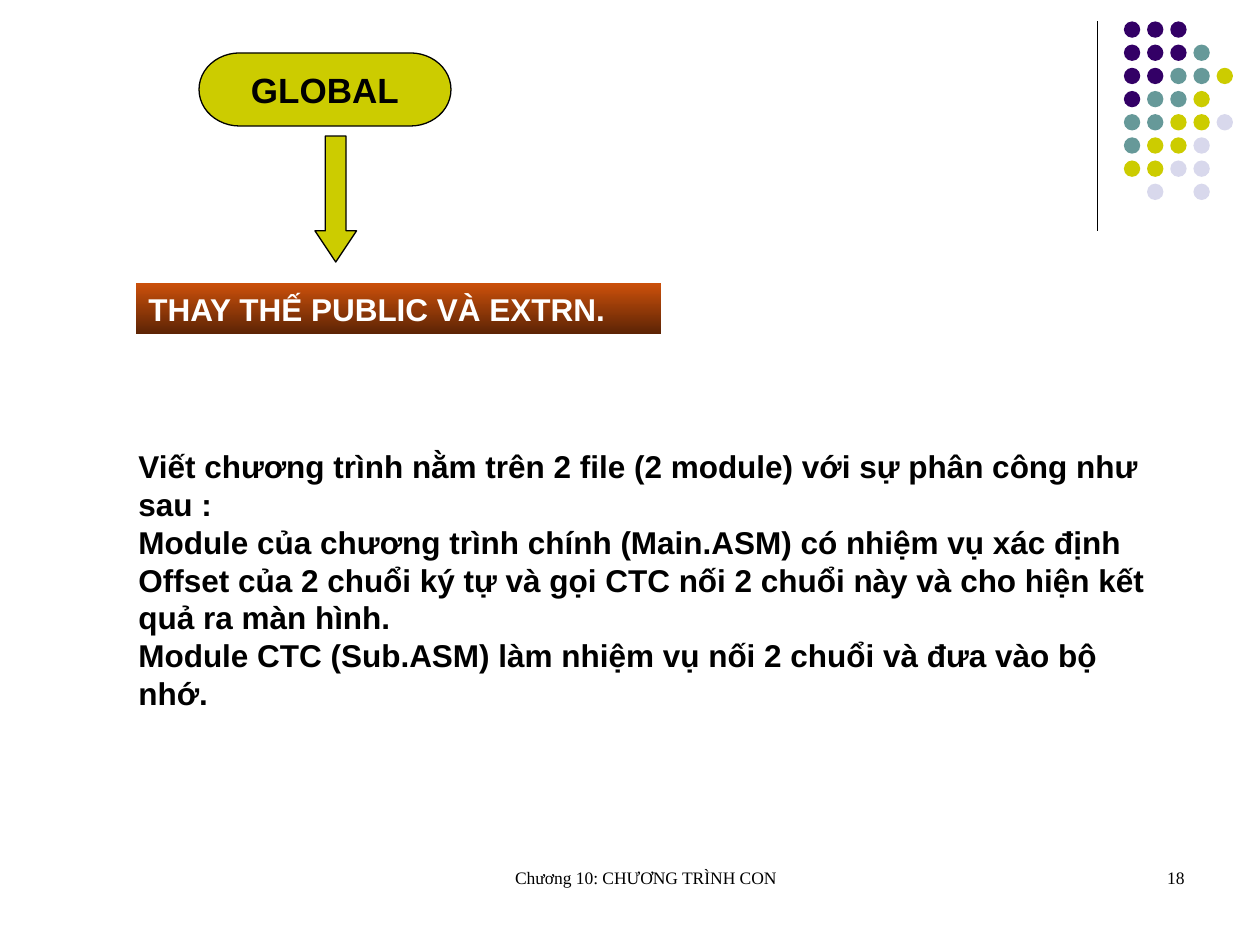
"""Build the slide that introduces the GLOBAL directive and its two-module exercise."""
from lxml.etree import SubElement
from pptx import Presentation
from pptx.dml.color import RGBColor
from pptx.enum.shapes import MSO_CONNECTOR, MSO_SHAPE
from pptx.enum.text import MSO_ANCHOR, PP_ALIGN
from pptx.oxml.ns import qn
from pptx.util import Inches, Pt

BLACK, WHITE, OLIVE = "000000", "FFFFFF", "CCCC00"
BANNER_COLORS = ("CB500B", "5D2405")
DOT_COLORS = {"P": "330066", "T": "669999", "O": OLIVE, "L": "D8D8EC"}
DOT_ROWS = ("PPP", "PPPT", "PPTTO", "PTTO", "TTOOL", "TOOL", "OOLL", " L L")
DOT_LEFT, DOT_TOP, DOT_STEP, DOT_SIZE = 8.92, 0.17, 0.184, 0.13

DIRECTIVE = "GLOBAL"
BANNER = "THAY THẾ PUBLIC VÀ EXTRN."
EXERCISE = [
    "Viết chương trình nằm trên 2 file (2 module) với sự phân công như sau :",
    "Module của chương trình chính (Main.ASM) có nhiệm vụ xác định Offset của 2 chuổi ký tự "
    "và gọi CTC nối 2 chuổi này và cho hiện kết quả ra màn hình.",
    "Module CTC (Sub.ASM) làm nhiệm vụ nối 2 chuổi và đưa vào bộ nhớ.",
]
FOOTERS = [
    ("Chương 10: CHƯƠNG TRÌNH CON", (3.42, 6.83, 3.17, 0.5), PP_ALIGN.CENTER),
    ("18", (7.17, 6.83, 2.33, 0.5), PP_ALIGN.RIGHT),
]


def color(value):
    return RGBColor.from_string(value)


def add_shape(slide, kind, box, fill=None, outlined=False):
    shape = slide.shapes.add_shape(kind, *map(Inches, box))
    shape.shadow.inherit = False
    if fill:
        shape.fill.solid()
        shape.fill.fore_color.rgb = color(fill)
    if outlined:
        shape.line.color.rgb = color(BLACK)
        shape.line.width = Pt(0.75)
    else:
        shape.line.fill.background()
    return shape


def write(shape, lines, size, ink=BLACK, font="Arial", bold=True,
          align=PP_ALIGN.LEFT, anchor=MSO_ANCHOR.TOP, wrap=True, margin=0):
    frame = shape.text_frame
    frame.word_wrap = wrap
    frame.vertical_anchor = anchor
    for index, line in enumerate(lines):
        paragraph = frame.add_paragraph() if index else frame.paragraphs[0]
        paragraph.alignment = align
        if margin:
            properties = paragraph._p.get_or_add_pPr()
            properties.set("marL", str(Inches(margin)))
            properties.set("indent", "0")
        run = paragraph.add_run()
        run.text = line
        run.font.name = font
        run.font.size = Pt(size)
        run.font.bold = bold
        run.font.color.rgb = color(ink)


def add_decoration(slide):
    rule = slide.shapes.add_connector(
        MSO_CONNECTOR.STRAIGHT, *map(Inches, (8.71, 0.17, 8.71, 1.83)))
    rule.line.color.rgb = color(BLACK)
    rule.line.width = Pt(0.75)
    SubElement(rule._element.spPr, qn("a:effectLst"))
    for row, dots in enumerate(DOT_ROWS):
        for column, dot in enumerate(dots):
            if dot in DOT_COLORS:
                box = (DOT_LEFT + column * DOT_STEP, DOT_TOP + row * DOT_STEP, DOT_SIZE, DOT_SIZE)
                add_shape(slide, MSO_SHAPE.OVAL, box, DOT_COLORS[dot])


def add_diagram(slide):
    terminator = add_shape(
        slide, MSO_SHAPE.FLOWCHART_TERMINATOR, (1.58, 0.42, 2, 0.58), OLIVE, outlined=True)
    write(terminator, [DIRECTIVE], 20, align=PP_ALIGN.CENTER, anchor=MSO_ANCHOR.MIDDLE, wrap=False)

    arrow = add_shape(slide, MSO_SHAPE.DOWN_ARROW, (2.5, 1.08, 0.33, 1), OLIVE, outlined=True)
    arrow.adjustments[0] = 0.5
    arrow.adjustments[1] = 0.75

    banner = add_shape(slide, MSO_SHAPE.RECTANGLE, (1.08, 2.25, 4.17, 0.4))
    banner.fill.gradient()
    banner.fill.gradient_angle = 270
    for stop, value in zip(banner.fill.gradient_stops, BANNER_COLORS):
        stop.color.rgb = color(value)
    write(banner, [BANNER], 18, WHITE)


def main():
    presentation = Presentation()
    presentation.slide_width = Inches(10)
    presentation.slide_height = Inches(7.5)
    slide = presentation.slides.add_slide(presentation.slide_layouts[6])
    add_decoration(slide)
    add_diagram(slide)
    exercise = slide.shapes.add_textbox(*map(Inches, (1, 3.5, 8.25, 2.2)))
    write(exercise, EXERCISE, 18)
    for text, box, align in FOOTERS:
        footer = slide.shapes.add_textbox(*map(Inches, box))
        write(footer, [text], 10, font="Times New Roman", bold=False, align=align, margin=0.24)
    presentation.save("out.pptx")


if __name__ == "__main__":
    main()
